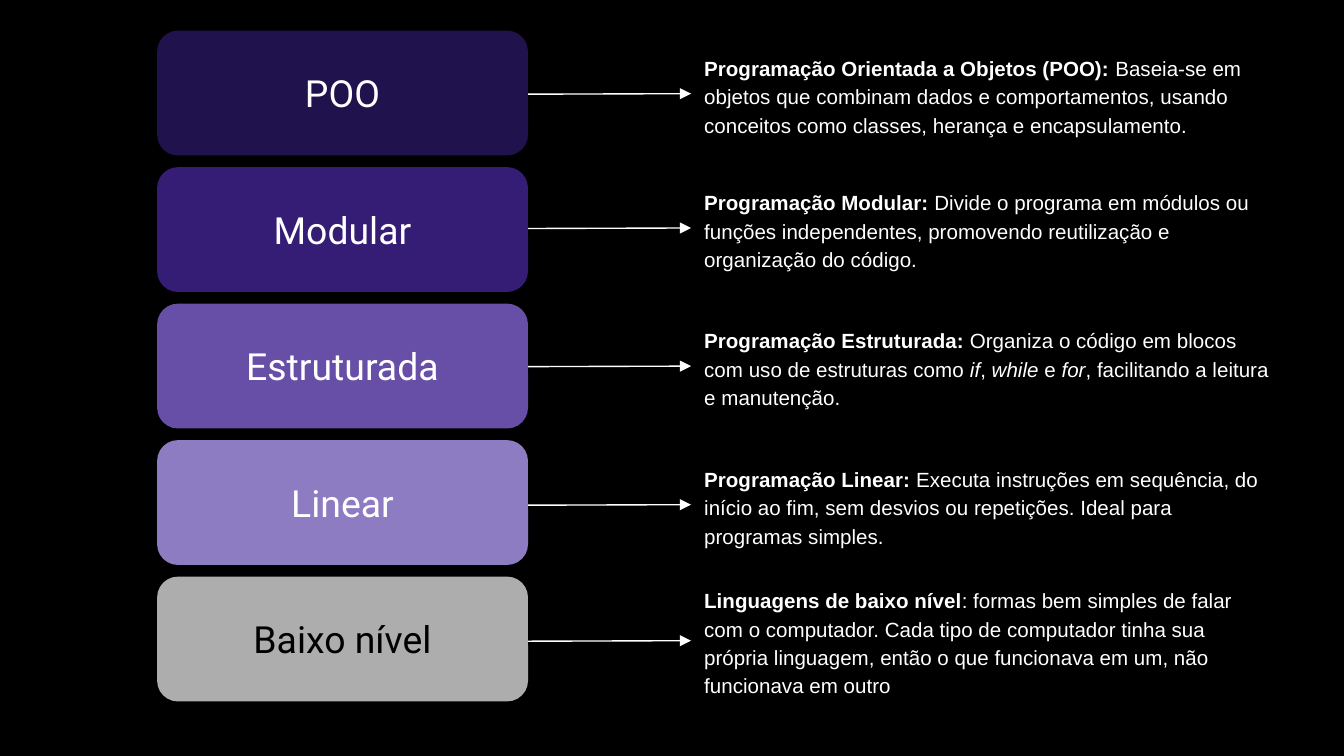
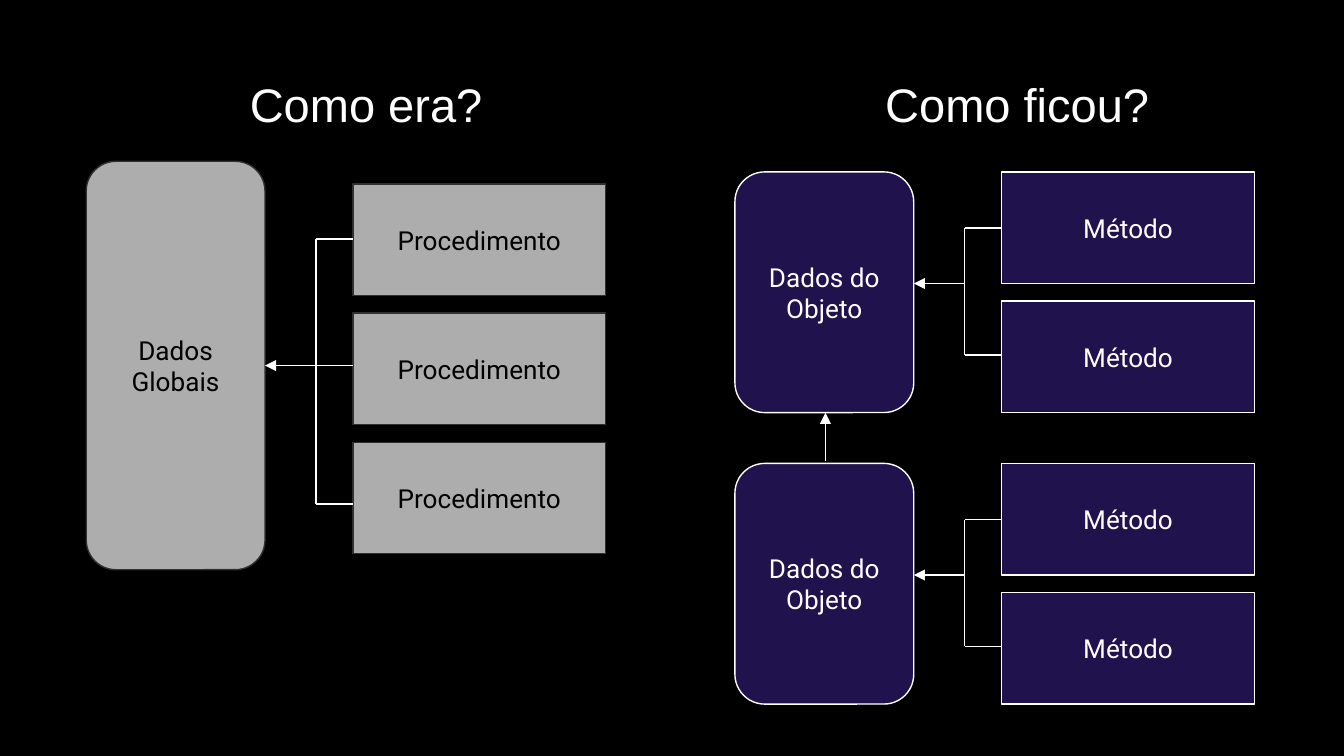
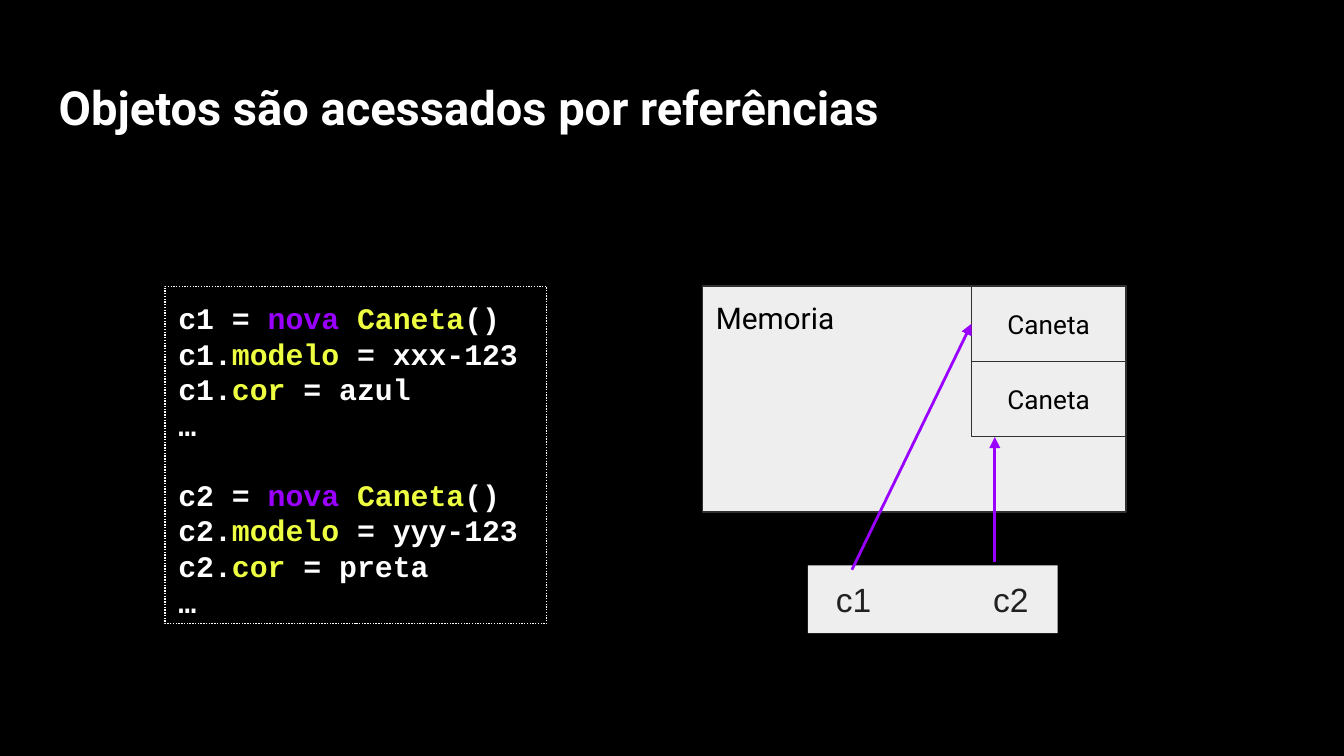
import pptx
import pptx.util
import pptx.dml.color
import pptx.enum.dml
import pptx.enum.shapes
import pptx.enum.text
from lxml import etree
from pptx.oxml.ns import qn

Cm = pptx.util.Cm
Pt = pptx.util.Pt
rgb = pptx.dml.color.RGBColor.from_string
SHAPE = pptx.enum.shapes.MSO_SHAPE
ALIGN = pptx.enum.text.PP_ALIGN
ANCHOR = pptx.enum.text.MSO_ANCHOR

BLACK, WHITE, GREY, PALE, EDGE = "000000", "FFFFFF", "ADADAD", "EEEEEE", "303030"
NAVY, VIOLET, YELLOW = "20124D", "9900FF", "EEFF41"
INSET = Cm(0.25)


def draw_box(slide, kind, box, fill, edge, text, size, color, font="Roboto"):
    shape = slide.shapes.add_shape(kind, *[Cm(length) for length in box])
    shape.shadow.inherit = False
    shape.fill.solid()
    shape.fill.fore_color.rgb = rgb(fill)
    if edge:
        shape.line.color.rgb = rgb(edge)
        shape.line.width = Pt(0.75)
    else:
        shape.line.fill.background()
    frame = shape.text_frame
    frame.margin_left = frame.margin_right = INSET
    frame.margin_top = frame.margin_bottom = INSET
    frame.vertical_anchor = ANCHOR.MIDDLE
    frame.text = text
    frame.paragraphs[0].alignment = ALIGN.CENTER
    style = frame.paragraphs[0].runs[0].font
    style.name, style.size, style.color.rgb = font, Pt(size), rgb(color)
    return shape


def draw_line(slide, start, end, arrow=False, color=WHITE, width=0.75):
    line = slide.shapes.add_connector(
        pptx.enum.shapes.MSO_CONNECTOR.STRAIGHT,
        *[Cm(length) for length in start + end])
    line.line.color.rgb = rgb(color)
    line.line.width = Pt(width)
    if arrow:
        etree.SubElement(line.line._get_or_add_ln(), qn("a:tailEnd"), type="triangle")
    etree.SubElement(line._element.spPr, qn("a:effectLst"))


deck = pptx.Presentation()
deck.slide_width, deck.slide_height = Cm(25.4), Cm(14.29)
deck.slide_master.background.fill.solid()
deck.slide_master.background.fill.fore_color.rgb = rgb(BLACK)
paradigms = deck.slides.add_slide(deck.slide_layouts[6])
comparison = deck.slides.add_slide(deck.slide_layouts[1])
references = deck.slides.add_slide(deck.slide_layouts[1])

# Slide 1: paradigms and their descriptions (b = bold, i = italic)
levels = [
    ("POO", NAVY, WHITE, 0.74, 2.06, [
        ("Programação Orientada a Objetos (POO): ", "b"),
        ("Baseia-se em objetos que combinam dados e comportamentos, usando "
         "conceitos como classes, herança e encapsulamento.", "")]),
    ("Modular", "351C75", WHITE, 3.28, 2.06, [
        ("Programação Modular: ", "b"),
        ("Divide o programa em módulos ou funções independentes, promovendo "
         "reutilização e organização do código.", "")]),
    ("Estruturada", "674EA7", WHITE, 5.89, 2.06, [
        ("Programação Estruturada: ", "b"),
        ("Organiza o código em blocos com uso de estruturas como ", ""),
        ("if", "i"), (", ", ""), ("while", "i"), (" e ", ""), ("for", "i"),
        (", facilitando a leitura e manutenção.", "")]),
    ("Linear", "8E7CC3", WHITE, 8.51, 2.06, [
        ("Programação Linear: ", "b"),
        ("Executa instruções em sequência, do início ao fim, sem desvios ou "
         "repetições. Ideal para programas simples.", "")]),
    ("Baixo nível", GREY, BLACK, 10.8, 2.62, [
        ("Linguagens de baixo nível", "b"),
        (": formas bem simples de falar com o computador. Cada tipo de "
         "computador tinha sua própria linguagem, então o que funcionava em "
         "um, não funcionava em outro", "")]),
]
for row, (level, fill, color, top, height, pieces) in enumerate(levels):
    draw_box(paradigms, SHAPE.ROUNDED_RECTANGLE, (2.97, 0.58 + 2.58 * row, 7.01, 2.36),
             fill, None, level, 20, color)
    middle = top + height / 2
    draw_line(paradigms, (9.98, middle + 0.01), (13.06, middle), arrow=True)
    description = paradigms.shapes.add_textbox(
        Cm(13.06), Cm(top), Cm(11.18), Cm(height)).text_frame
    description.word_wrap = True
    description.margin_left = description.margin_right = INSET
    description.margin_top = description.margin_bottom = INSET
    description.paragraphs[0].line_spacing = 1.15
    for words, style in pieces:
        run = description.paragraphs[0].add_run()
        run.text = words
        run.font.name, run.font.size = "Arial", Pt(11)
        run.font.color.rgb = rgb(WHITE)
        run.font.bold, run.font.italic = style == "b", style == "i"

# Slide 2: data on the left of each group, its routines on the right
groups = [
    ("Dados Globais", "Procedimento", GREY, EDGE, BLACK,
     1.63, 3.05, 7.72, 3.48, (1.04, 3.43, 6.05), 3.43),
    ("Dados do Objeto", "Método", NAVY, WHITE, WHITE,
     13.89, 3.25, 4.55, 3.25, (1.06, 3.46), 2.11),
    ("Dados do Objeto", "Método", NAVY, WHITE, WHITE,
     13.89, 8.76, 4.55, 8.76, (1.06, 3.46), 2.11),
]
for (data, routine, fill, edge, color,
     left, data_top, data_height, top, branches, arrow) in groups:
    draw_box(comparison, SHAPE.ROUNDED_RECTANGLE, (left, data_top, 3.38, data_height),
             fill, edge, data, 14, color)
    trunk, routine_left = left + 4.34, left + 5.04
    for row, branch in enumerate(branches):
        draw_box(comparison, SHAPE.RECTANGLE, (routine_left, top + 2.44 * row, 4.78, 2.11),
                 fill, edge, routine, 14, color)
        draw_line(comparison, (routine_left, top + branch), (trunk, top + branch))
    draw_line(comparison, (trunk, top + branches[0]), (trunk, top + branches[-1]))
    draw_line(comparison, (trunk, top + arrow), (left + 3.38, top + arrow), arrow=True)
draw_line(comparison, (15.6, 8.71), (15.6, 7.8), arrow=True)

# Slide 3: code
code = references.placeholders[1]
code.left, code.top, code.width, code.height = Cm(3.12), Cm(5.41), Cm(7.21), Cm(6.38)
code.line.color.rgb = rgb(WHITE)
code.line.width = Pt(0.75)
code.line.dash_style = pptx.enum.dml.MSO_LINE.ROUND_DOT
listing = []
for pen, model, ink in (("c1", "xxx-123", "azul"), ("c2", "yyy-123", "preta")):
    listing += [
        [(pen + " = ", WHITE), ("nova ", VIOLET), ("Caneta", YELLOW), ("()", WHITE)],
        [(pen + ".", WHITE), ("modelo", YELLOW), (" = " + model, WHITE)],
        [(pen + ".", WHITE), ("cor", YELLOW), (" = " + ink, WHITE)],
        [("…", WHITE)],
    ]
for number, tokens in enumerate(listing):
    statement = (code.text_frame.add_paragraph() if number
                 else code.text_frame.paragraphs[0])
    statement.line_spacing = 1.0
    statement.space_before = Pt(18 if number == 4 else 0)
    for token, color in tokens:
        run = statement.add_run()
        run.text = token
        run.font.name, run.font.size, run.font.bold = "Courier New", Pt(16), True
        run.font.color.rgb = rgb(color)

# Slide 3: memory and the variables that point into it
memory = draw_box(references, SHAPE.RECTANGLE, (13.28, 5.41, 8, 4.27),
                  PALE, EDGE, "Memoria", 16, BLACK)
memory.text_frame.vertical_anchor = ANCHOR.TOP
memory.text_frame.paragraphs[0].alignment = ALIGN.LEFT
for row in range(2):
    draw_box(references, SHAPE.RECTANGLE, (18.36, 5.41 + 1.42 * row, 2.92, 1.42),
             PALE, EDGE, "Caneta", 14, BLACK)
variables = draw_box(references, SHAPE.RECTANGLE, (15.27, 10.69, 4.72, 1.28),
                     PALE, None, "c1\tc2", 18, "212121", "Arial")
variables.text_frame.margin_left = Cm(0.53)
names = variables.text_frame.paragraphs[0]
names.alignment = ALIGN.LEFT
tabs = etree.SubElement(names._p.get_or_add_pPr(), qn("a:tabLst"))
etree.SubElement(tabs, qn("a:tab"), pos=str(Cm(2.97)), algn="l")
draw_line(references, (16.1, 10.77), (18.36, 6.12), True, VIOLET, 1.5)
draw_line(references, (18.8, 10.62), (18.8, 8.26), True, VIOLET, 1.5)

# Headings of slides 2 and 3
headings = [
    (comparison.shapes.title, "Como era?", 4.47, 1.17, 5.16, "Arial", False),
    (comparison.placeholders[1], "Como ficou?", 16.48, 1.17, 5.56, "Arial", False),
    (references.shapes.title, "Objetos são acessados por referências",
     0.86, 1.24, 23.67, "Roboto", True),
]
for heading, text, left, top, width, font, bold in headings:
    heading.left, heading.top = Cm(left), Cm(top)
    heading.width, heading.height = Cm(width), Cm(1.6)
    heading.text_frame.text = text
    heading.text_frame.paragraphs[0].space_before = Pt(0)
    style = heading.text_frame.paragraphs[0].runs[0].font
    style.name, style.size, style.bold = font, Pt(25.2), bold
    style.color.rgb = rgb(WHITE)

# Shared placeholder layout: same insets, top left, no bullets
for slide in (comparison, references):
    for holder in slide.placeholders:
        frame = holder.text_frame
        frame.word_wrap = True
        frame.auto_size = pptx.enum.text.MSO_AUTO_SIZE.NONE
        frame.vertical_anchor = ANCHOR.TOP
        frame.margin_left = frame.margin_right = INSET
        frame.margin_top = frame.margin_bottom = INSET
        for paragraph in frame.paragraphs:
            paragraph.alignment = ALIGN.LEFT
            properties = paragraph._p.get_or_add_pPr()
            properties.set("marL", "0")
            properties.set("indent", "0")
            etree.SubElement(properties, qn("a:buNone"))

deck.save("out.pptx")
